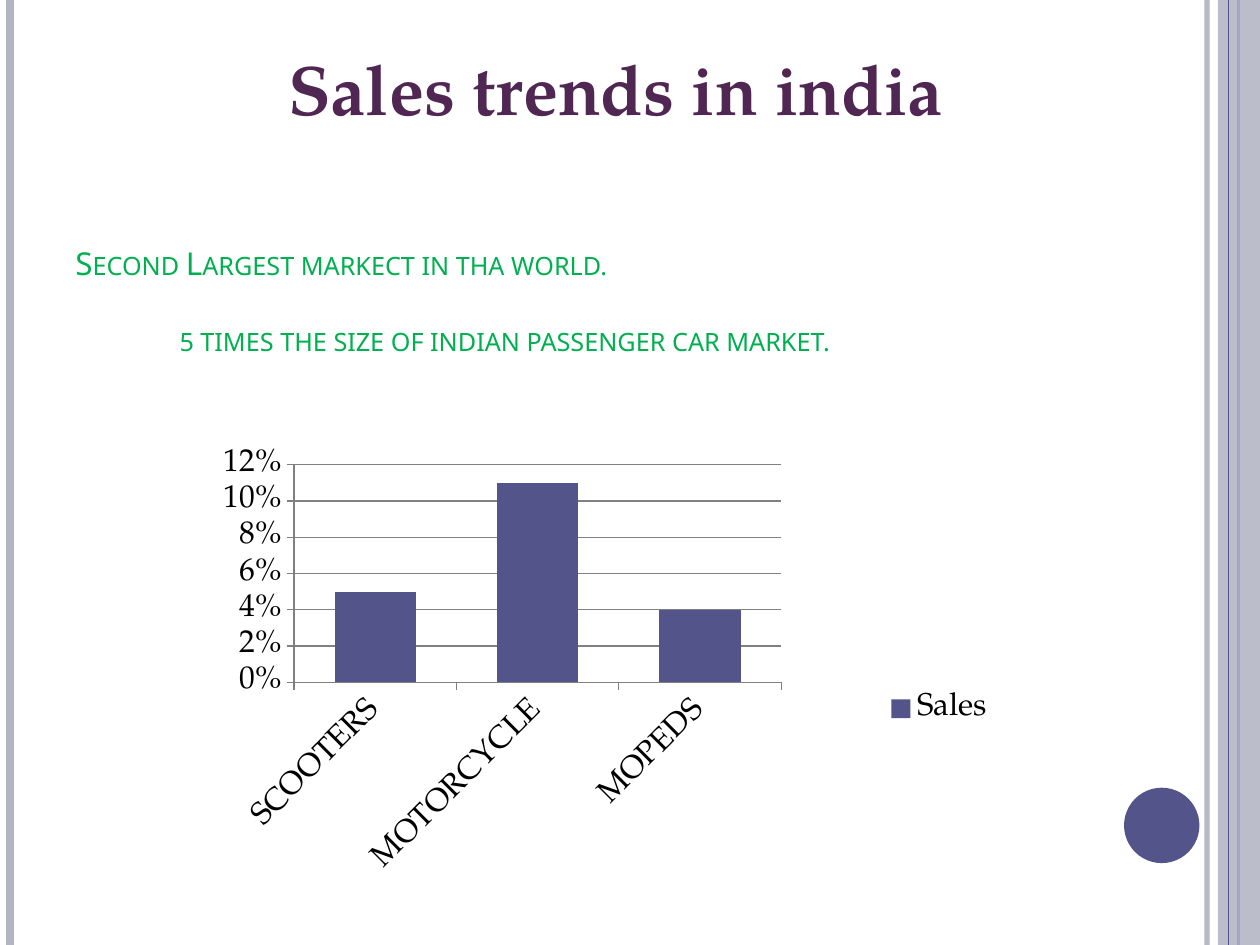
import pptx
import pptx.chart.data
import pptx.dml.color
import pptx.enum.chart
import pptx.enum.shapes
import pptx.enum.text
import pptx.oxml
import pptx.oxml.ns
import pptx.util
from lxml import etree
from pptx.util import Cm, Pt

COLORS = {
    "background": "FFFFFF",
    "band": "B3B4C4",
    "accent": "53548A",
    "heading": "502652",
    "claim": "00B050",
    "label": "000000",
    "grid": "808080",
}
SERIF = "TeX Gyre Pagella"
SANS = "Noto Sans"
PAGE_WIDTH, PAGE_HEIGHT = Cm(25.4), Cm(19.05)
qn = pptx.oxml.ns.qn


def rgb(name):
    return pptx.dml.color.RGBColor.from_string(COLORS[name])


def set_alpha(element, percent):
    color = next(element.iter(qn("a:srgbClr")))
    etree.SubElement(color, qn("a:alpha")).set("val", str(percent * 1000))


def add_rule(slide, x, color, width, alpha=None):
    rule = slide.shapes.add_connector(
        pptx.enum.shapes.MSO_CONNECTOR.STRAIGHT, x, 0, x, PAGE_HEIGHT)
    rule.line.color.rgb = rgb(color)
    rule.line.width = Pt(width)
    if alpha:
        set_alpha(rule._element.spPr, alpha)
    etree.SubElement(rule._element.spPr, qn("a:effectLst"))


def add_solid(slide, kind, box, color, alpha=None):
    solid = slide.shapes.add_shape(kind, *box)
    solid.shadow.inherit = False
    solid.fill.solid()
    solid.fill.fore_color.rgb = rgb(color)
    solid.line.fill.background()
    if alpha:
        set_alpha(solid._element.spPr, alpha)
    return solid


def style_font(font, name, size, color, bold=False):
    font.name = name
    font.size = Pt(size)
    font.color.rgb = rgb(color)
    font.bold = bold


def add_heading(slide, text):
    heading = slide.shapes.add_textbox(Cm(1.19), Cm(0.79), Cm(22.43), Cm(1.96))
    heading.text_frame.word_wrap = True
    line = heading.text_frame.paragraphs[0]
    line.text = text
    line.alignment = pptx.enum.text.PP_ALIGN.CENTER
    style_font(line.font, SERIF, 40, "heading", True)


def add_claims(slide, claims):
    panel = add_solid(slide, pptx.enum.shapes.MSO_SHAPE.RECTANGLE,
                      (Cm(1.27), Cm(2.97), Cm(20.75), Cm(4.37)), "background")
    panel.line.color.rgb = rgb("background")
    panel.line.width = Pt(0.75)
    frame = panel.text_frame
    frame.word_wrap = True
    frame.vertical_anchor = pptx.enum.text.MSO_ANCHOR.BOTTOM
    for index, (text, indent, gap) in enumerate(claims):
        claim = frame.add_paragraph() if index else frame.paragraphs[0]
        claim.text = text
        claim.alignment = pptx.enum.text.PP_ALIGN.LEFT
        claim.space_before = Pt(gap)
        style_font(claim.font, SANS, 18, "claim")
        properties = claim._p.get_or_add_pPr()
        properties.set("marL", str(indent))
        properties.find(qn("a:defRPr")).set("cap", "small")


def place_plot(chart, **fractions):
    plot_area = chart._chartSpace.chart.plotArea
    for old in plot_area.findall(qn("c:layout")):
        plot_area.remove(old)
    layout = etree.Element(qn("c:layout"))
    manual = etree.SubElement(layout, qn("c:manualLayout"))
    settings = {"layoutTarget": "inner", "xMode": "edge", "yMode": "edge", **fractions}
    for tag, value in settings.items():
        etree.SubElement(manual, qn("c:" + tag)).set("val", str(value))
    plot_area.insert(0, layout)


def add_sales_chart(slide, sales):
    data = pptx.chart.data.CategoryChartData(number_format="0%")
    data.categories = list(sales)
    data.add_series("Sales", list(sales.values()))
    chart = slide.shapes.add_chart(
        pptx.enum.chart.XL_CHART_TYPE.COLUMN_CLUSTERED,
        Cm(3.39), Cm(8.94), Cm(16.93), Cm(10.7), data).chart
    style_font(chart.font, SERIF, 18, "label")
    chart.has_title = False
    chart.has_legend = True
    chart.legend.position = pptx.enum.chart.XL_LEGEND_POSITION.RIGHT
    chart.legend.include_in_layout = False
    columns = chart.plots[0]
    columns.gap_width = 100
    columns.vary_by_categories = False
    fill = columns.series[0].format.fill
    fill.solid()
    fill.fore_color.rgb = rgb("accent")

    percent, vehicles = chart.value_axis, chart.category_axis
    percent.minimum_scale, percent.maximum_scale, percent.major_unit = 0, 0.12, 0.02
    percent.has_major_gridlines = True
    percent.tick_labels.number_format = "0%"
    percent.tick_labels.number_format_is_linked = False
    for line in (percent.format.line, vehicles.format.line,
                 percent.major_gridlines.format.line):
        line.color.rgb = rgb("grid")
        line.width = Pt(0.75)
    style_font(vehicles.tick_labels.font, SERIF, 18, "label")
    next(vehicles._element.iter(qn("a:bodyPr"))).set("rot", "-2700000")
    place_plot(chart, x=0.15, y=0.04, w=0.58, h=0.41)


def main():
    deck = pptx.Presentation()
    deck.slide_width, deck.slide_height = PAGE_WIDTH, PAGE_HEIGHT
    slide = deck.slides.add_slide(deck.slide_layouts[6])
    slide.background.fill.solid()
    slide.background.fill.fore_color.rgb = rgb("background")

    shapes = pptx.enum.shapes.MSO_SHAPE
    add_rule(slide, Cm(24.33), "band", 3, 93)
    add_rule(slide, Cm(0.21), "band", 4.5)
    add_rule(slide, Cm(24.97), "accent", 1.5)
    add_solid(slide, shapes.RECTANGLE, (Cm(24.55), 0, Cm(0.85), PAGE_HEIGHT), "band", 87)
    add_rule(slide, Cm(24.76), "accent", 0.75)
    add_solid(slide, shapes.OVAL, (Cm(22.66), Cm(15.88), Cm(1.52), Cm(1.52)), "accent")

    add_sales_chart(slide, {"SCOOTERS": 0.05, "MOTORCYCLE": 0.11, "MOPEDS": 0.04})
    add_claims(slide, [
        ("Second Largest markect in tha world.", Cm(0), 0),
        ("5 times the size of indian passenger car market.", Cm(2.1), 22),
    ])
    add_heading(slide, "Sales trends in india")
    deck.save("out.pptx")


if __name__ == "__main__":
    main()
